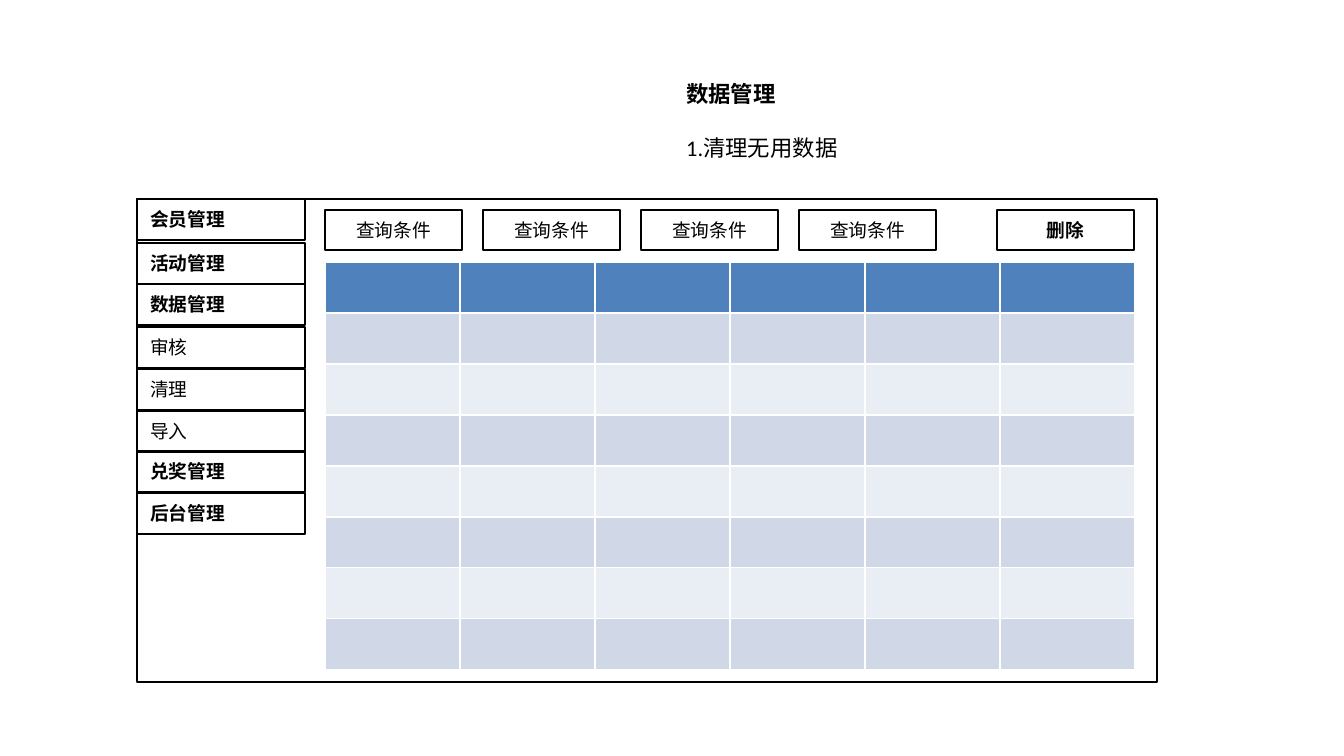
from pptx import Presentation
from pptx import util as u
from pptx.dml import color
from pptx.enum import shapes, text

PX = 914400 / 134.4


def rgb(h):
    return color.RGBColor.from_string(h)


def box(x, y, w, h, label="", bold=False, align=text.PP_ALIGN.LEFT):
    sp = s.shapes.add_shape(shapes.MSO_SHAPE.RECTANGLE, *[round(v * PX) for v in (x, y, w, h)])
    sp.shadow.inherit = False
    sp.fill.background()
    sp.line.color.rgb = rgb("000000")
    sp.line.width = u.Pt(1)
    if label:
        tf = sp.text_frame
        tf.vertical_anchor = text.MSO_ANCHOR.MIDDLE
        p = tf.paragraphs[0]
        p.alignment = align
        r = p.add_run()
        r.text = label
        r.font.name, r.font.size, r.font.bold = "Calibri", u.Pt(10), bold
        r.font.color.rgb = rgb("000000")


prs = Presentation()
prs.slide_width, prs.slide_height = round(1344 * PX), round(756 * PX)
s = prs.slides.add_slide(prs.slide_layouts[6])

box(137, 199, 1020, 483)

tf = s.shapes.add_textbox(*[round(v * PX) for v in (673, 74, 180, 96)]).text_frame
tf.word_wrap = True
for i, (line, bold) in enumerate([("数据管理", True), ("1.清理无用数据", False)]):
    p = tf.add_paragraph() if i else tf.paragraphs[0]
    p.space_before = u.Pt(14.5 * i)
    r = p.add_run()
    r.text = line
    r.font.name, r.font.size, r.font.bold = "Calibri", u.Pt(12), bold
    r.font.color.rgb = rgb("000000")

menu = [
    (199, "会员管理", True),
    (243, "活动管理", True),
    (284, "数据管理", True),
    (327, "审核", False),
    (369, "清理", False),
    (411, "导入", False),
    (451, "兑奖管理", True),
    (493, "后台管理", True),
]
for y, label, bold in menu:
    box(137, y, 168, 41, label, bold)

for i in range(4):
    box(325 + 158 * i, 210, 137, 40, "查询条件", align=text.PP_ALIGN.CENTER)
box(997, 210, 137, 40, "删除", True, text.PP_ALIGN.CENTER)

ROWS, COLS = 8, 6
tbl = s.shapes.add_table(ROWS, COLS, *[round(v * PX) for v in (325, 262, 810, 408)]).table
for col in tbl.columns:
    col.width = round(135 * PX)
for i, row in enumerate(tbl.rows):
    row.height = round(51 * PX)
    for c in row.cells:
        c.margin_top = c.margin_bottom = 0
        c.fill.solid()
        c.fill.fore_color.rgb = rgb("4F81BD" if i == 0 else "D0D8E8" if i % 2 else "E9EDF4")

prs.save("out.pptx")
